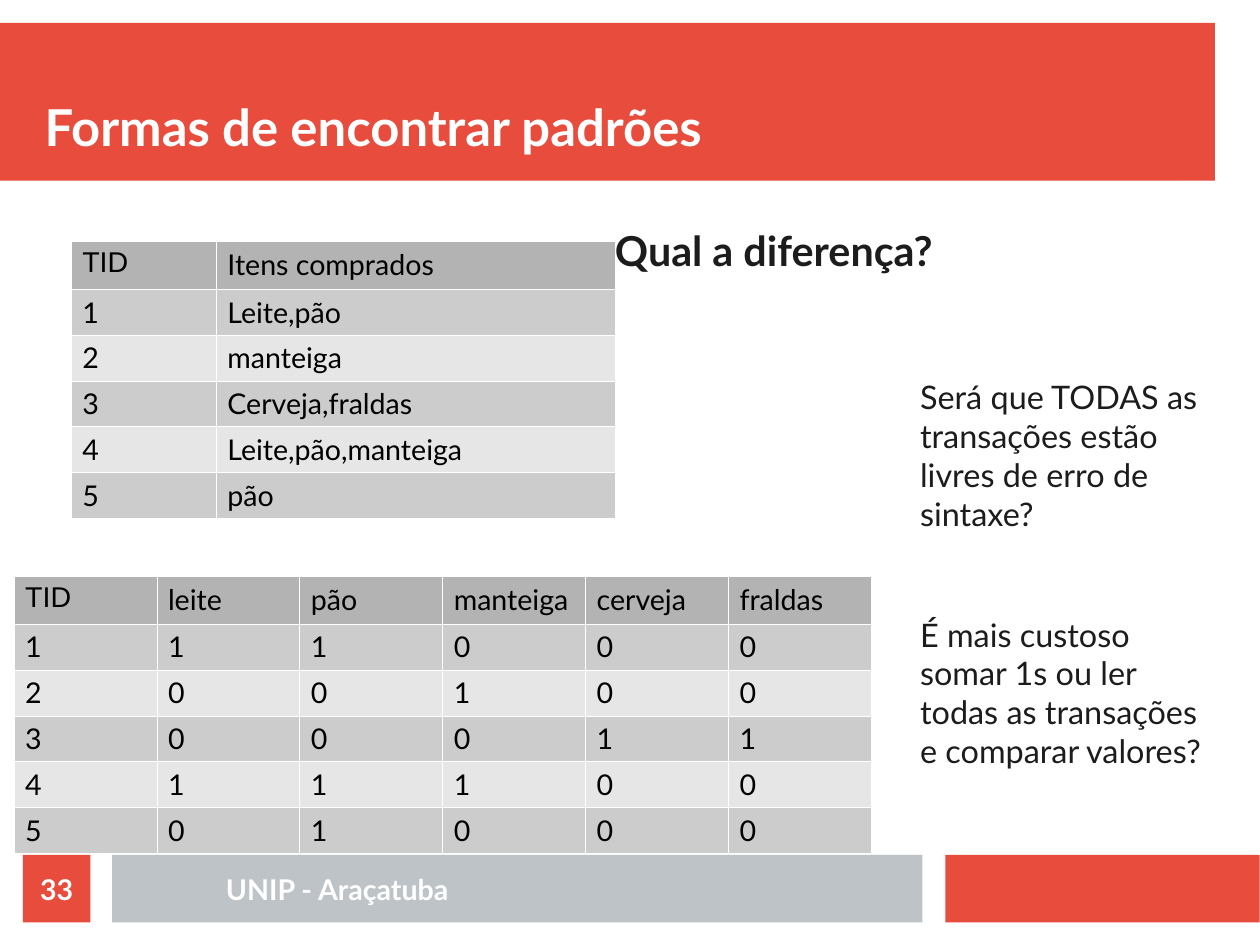
from dataclasses import dataclass

from lxml import etree
from pptx import Presentation
from pptx.dml.color import RGBColor
from pptx.enum.shapes import MSO_SHAPE
from pptx.enum.text import MSO_ANCHOR, MSO_AUTO_SIZE, PP_ALIGN
from pptx.oxml.ns import qn
from pptx.shapes.autoshape import Shape
from pptx.slide import Slide
from pptx.table import _Cell
from pptx.util import Cm, Inches, Pt

RECTANGLE = MSO_SHAPE.RECTANGLE
NO_AUTOFIT = MSO_AUTO_SIZE.NONE
TOP, MIDDLE, BOTTOM = MSO_ANCHOR.TOP, MSO_ANCHOR.MIDDLE, MSO_ANCHOR.BOTTOM
LEFT, CENTER = PP_ALIGN.LEFT, PP_ALIGN.CENTER

RED = RGBColor(0xE7, 0x4C, 0x3C)
SILVER = RGBColor(0xBD, 0xC3, 0xC7)
WHITE = RGBColor(0xFF, 0xFF, 0xFF)
BLACK = RGBColor(0x00, 0x00, 0x00)
INK = RGBColor(0x1C, 0x1C, 0x1C)
HEADER_GRAY = RGBColor(0xB3, 0xB3, 0xB3)
BAND_GRAYS = (RGBColor(0xCC, 0xCC, 0xCC), RGBColor(0xE6, 0xE6, 0xE6))

PAGE_WIDTH, PAGE_HEIGHT = Cm(28), Cm(21)
TWO_CONTENT_LAYOUT = 3
FOOTER_TOP, FOOTER_HEIGHT = 7.48, 0.59
HEADER_ROW_HEIGHT, ROW_HEIGHT = 0.42, 0.38


@dataclass(frozen=True)
class Area:
    left: float
    top: float
    width: float
    height: float

    def lengths(self) -> tuple[int, ...]:
        return tuple(map(Inches, (self.left, self.top, self.width, self.height)))


@dataclass(frozen=True)
class TextStyle:
    size: float
    color: RGBColor
    bold: bool = False
    align: PP_ALIGN = LEFT
    anchor: MSO_ANCHOR = TOP
    indent: float = 0
    space_after: float = 0


@dataclass(frozen=True)
class Grid:
    left: float
    top: float
    column_widths: tuple[float, ...]
    rows: tuple[tuple[str, ...], ...]


TITLE_STYLE = TextStyle(32, WHITE, bold=True, anchor=BOTTOM)
HEADING_STYLE = TextStyle(26, INK, bold=True)
QUESTION_STYLE = TextStyle(20.4, INK, indent=0.31, space_after=51.6)
FOOTER_STYLE = TextStyle(18, WHITE, bold=True, align=CENTER, anchor=MIDDLE)

BARS = (
    (Area(0, 0.2, 10.63, 1.38), RED),
    (Area(8.27, FOOTER_TOP, 2.75, FOOTER_HEIGHT), RED),
    (Area(0.98, FOOTER_TOP, 7.09, FOOTER_HEIGHT), SILVER),
)

GRIDS = (
    Grid(0.62, 2.11, (1.27, 3.49), (
        ("TID", "Itens comprados"),
        ("1", "Leite,pão"),
        ("2", "manteiga"),
        ("3", "Cerveja,fraldas"),
        ("4", "Leite,pão,manteiga"),
        ("5", "pão"),
    )),
    Grid(0.12, 5.04, (1.25,) * 6, (
        ("TID", "leite", "pão", "manteiga", "cerveja", "fraldas"),
        ("1", "1", "1", "0", "0", "0"),
        ("2", "0", "0", "1", "0", "0"),
        ("3", "0", "0", "0", "1", "1"),
        ("4", "1", "1", "1", "0", "0"),
        ("5", "0", "1", "0", "0", "0"),
    )),
)


def add_bar(page: Slide, area: Area, color: RGBColor) -> Shape:
    bar = page.shapes.add_shape(RECTANGLE, *area.lengths())
    bar.shadow.inherit = False
    bar.fill.solid()
    bar.fill.fore_color.rgb = color
    bar.line.fill.background()
    return bar


def write(box: Shape, lines: tuple[str, ...], style: TextStyle) -> None:
    frame = box.text_frame
    frame.text = "\n".join(lines)
    frame.word_wrap = True
    frame.auto_size = NO_AUTOFIT
    frame.vertical_anchor = style.anchor
    frame.margin_left = frame.margin_right = frame.margin_top = frame.margin_bottom = 0
    for paragraph in frame.paragraphs:
        paragraph.alignment = style.align
        paragraph.space_before = Pt(0)
        paragraph.space_after = Pt(style.space_after)
        properties = paragraph._p.get_or_add_pPr()
        properties.set("marL", str(Inches(style.indent)))
        properties.set("indent", "0")
        etree.SubElement(properties, qn("a:buNone"))
        font = paragraph.font
        font.name, font.size, font.bold = "Lato", Pt(style.size), style.bold
        font.color.rgb = style.color


def fill_placeholder(box: Shape, area: Area, lines: tuple[str, ...], style: TextStyle) -> None:
    box.left, box.top, box.width, box.height = area.lengths()
    write(box, lines, style)


def add_cell_borders(cell: _Cell) -> None:
    """Put hairline white borders ahead of the cell's fill."""
    properties = cell._tc.get_or_add_tcPr()
    for position, side in enumerate(("a:lnL", "a:lnR", "a:lnT", "a:lnB")):
        line = etree.Element(qn(side), w=str(Pt(0.06)))
        fill = etree.SubElement(line, qn("a:solidFill"))
        etree.SubElement(fill, qn("a:srgbClr"), val=str(WHITE))
        properties.insert(position, line)


def add_grid(page: Slide, grid: Grid) -> None:
    height = HEADER_ROW_HEIGHT + ROW_HEIGHT * (len(grid.rows) - 1)
    area = Area(grid.left, grid.top, sum(grid.column_widths), height)
    table = page.shapes.add_table(
        len(grid.rows), len(grid.column_widths), *area.lengths()).table
    for column, width in zip(table.columns, grid.column_widths):
        column.width = Inches(width)
    for row_index, values in enumerate(grid.rows):
        is_header = row_index == 0
        table.rows[row_index].height = Inches(HEADER_ROW_HEIGHT if is_header else ROW_HEIGHT)
        for column_index, value in enumerate(values):
            cell = table.cell(row_index, column_index)
            cell.text = value
            cell.fill.solid()
            cell.fill.fore_color.rgb = HEADER_GRAY if is_header else BAND_GRAYS[(row_index - 1) % 2]
            add_cell_borders(cell)
            font = cell.text_frame.paragraphs[0].font
            font.name = "Arial" if value == "TID" else "Lato"
            font.size, font.bold = Pt(18), False
            font.color.rgb = BLACK


def main() -> None:
    deck = Presentation()
    deck.slide_width, deck.slide_height = PAGE_WIDTH, PAGE_HEIGHT
    page = deck.slides.add_slide(deck.slide_layouts[TWO_CONTENT_LAYOUT])
    title, heading, questions = page.placeholders

    for area, color in BARS:
        bar = add_bar(page, area, color)
        title.element.addprevious(bar.element)

    fill_placeholder(title, Area(0.39, 0.39, 10.24, 0.98),
                     ("Formas de encontrar padrões",), TITLE_STYLE)
    fill_placeholder(heading, Area(5.38, 1.97, 5.05, 2.47),
                     ("Qual a diferença?",), HEADING_STYLE)
    fill_placeholder(questions, Area(7.74, 3.3, 2.93, 4.21), (
        "Será que TODAS as transações estão livres de erro de sintaxe?",
        "É mais custoso somar 1s ou ler todas as transações e comparar valores?",
    ), QUESTION_STYLE)

    for grid in GRIDS:
        add_grid(page, grid)

    footer = page.shapes.add_textbox(*Area(1.18, FOOTER_TOP, 3.54, FOOTER_HEIGHT).lengths())
    write(footer, ("UNIP - Araçatuba",), FOOTER_STYLE)
    number = add_bar(page, Area(0.2, FOOTER_TOP, 0.59, FOOTER_HEIGHT), RED)
    write(number, ("33",), FOOTER_STYLE)

    deck.save("out.pptx")


if __name__ == "__main__":
    main()
